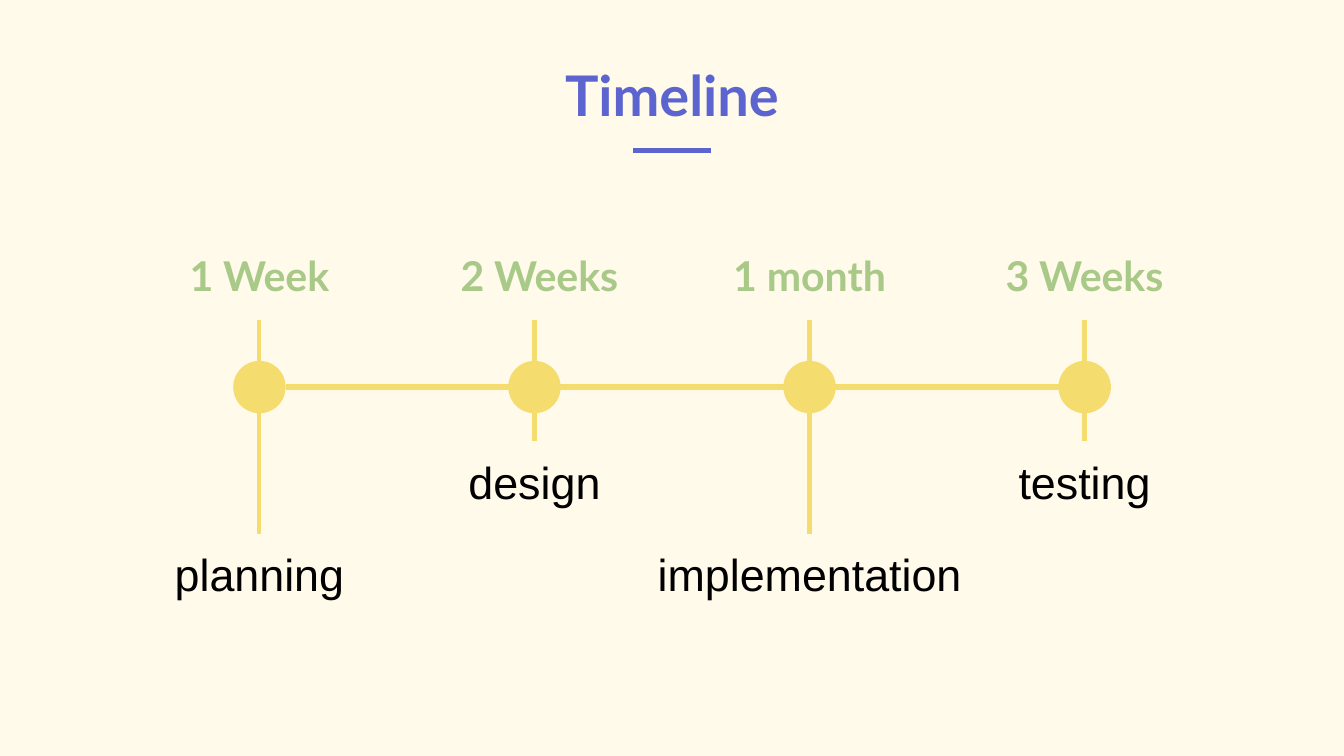
from dataclasses import dataclass

from lxml import etree
from pptx import Presentation, util as u
from pptx.dml.color import RGBColor
from pptx.enum import shapes, text
from pptx.oxml.ns import qn

TITLE = "Timeline"
# duration, stage, row of the stage name (0 = near the axis, 1 = further down)
STAGES = [
    ("1 Week", "planning", 1),
    (" 2 Weeks", "design", 0),
    ("1 month", "implementation", 1),
    ("3 Weeks", "testing", 0),
]


@dataclass(frozen=True)
class Theme:
    paper: str = "FFFAEA"
    accent: str = "5C65CF"
    axis: str = "F5DC6E"
    duration: str = "A8C987"
    ink: str = "000000"
    heading_font: str = "Lato"
    stage_font: str = "Arial"
    title_size: float = 30
    duration_size: float = 22
    stage_size: float = 24
    thick: float = 3
    thin: float = 2.25


THEME = Theme()
WIDTH = 10
HEIGHT = WIDTH * 9 / 16
FIRST_X = 1.93
COLUMN = (WIDTH - 2 * FIRST_X) / (len(STAGES) - 1)
AXIS_Y = 2.88
DOT = 0.39
DURATION_TOP, DURATION_HEIGHT = 1.76, 0.62
STAGE_ROWS, STAGE_HEIGHT = (3.28, 3.97), 1.01
LABEL_WIDTH, WIDE_LABEL = 1.75, 2.73
RULE_Y, RULE_WIDTH = 1.12, 0.58
TITLE_LEFT, TITLE_TOP, TITLE_HEIGHT = 0.78, 0.22, 0.83


def color(code):
    return RGBColor.from_string(code)


def write(box, words, font, size, ink, bold=False, anchor=text.MSO_ANCHOR.TOP):
    frame = box.text_frame
    frame.word_wrap = True
    frame.auto_size = text.MSO_AUTO_SIZE.NONE
    frame.vertical_anchor = anchor
    frame.margin_left = frame.margin_right = u.Inches(0.1)
    frame.margin_top = frame.margin_bottom = u.Inches(0.1)
    paragraph = frame.paragraphs[0]
    paragraph.alignment = text.PP_ALIGN.CENTER
    paragraph.space_before = u.Pt(0)
    run = paragraph.add_run()
    run.text = words
    run.font.name, run.font.size, run.font.bold = font, u.Pt(size), bold
    run.font.color.rgb = color(ink)


def add_label(slide, center, top, width, height):
    return slide.shapes.add_textbox(
        *map(u.Inches, (center - width / 2, top, width, height)))


def add_line(slide, start, end, ink, weight):
    line = slide.shapes.add_connector(
        shapes.MSO_CONNECTOR.STRAIGHT, *map(u.Inches, (*start, *end)))
    line.line.color.rgb = color(ink)
    line.line.width = u.Pt(weight)
    etree.SubElement(line._element.spPr, qn("a:effectLst"))
    return line


def add_heading(slide):
    add_line(slide, ((WIDTH - RULE_WIDTH) / 2, RULE_Y),
             ((WIDTH + RULE_WIDTH) / 2, RULE_Y), THEME.accent, THEME.thick)
    title = slide.shapes.title
    title.left, title.top = u.Inches(TITLE_LEFT), u.Inches(TITLE_TOP)
    title.width = u.Inches(WIDTH - 2 * TITLE_LEFT)
    title.height = u.Inches(TITLE_HEIGHT)
    write(title, TITLE, THEME.heading_font, THEME.title_size, THEME.accent,
          bold=True, anchor=text.MSO_ANCHOR.BOTTOM)


def add_stage(slide, center, duration, stage, row):
    dot = slide.shapes.add_shape(
        shapes.MSO_SHAPE.OVAL,
        *map(u.Inches, (center - DOT / 2, AXIS_Y - DOT / 2, DOT, DOT)))
    dot.shadow.inherit = False
    dot.fill.solid()
    dot.fill.fore_color.rgb = color(THEME.axis)
    dot.line.fill.background()

    above = add_label(slide, center, DURATION_TOP, LABEL_WIDTH, DURATION_HEIGHT)
    write(above, duration, THEME.heading_font, THEME.duration_size,
          THEME.duration, bold=True)

    stage_width = WIDE_LABEL if len(stage) > 10 else LABEL_WIDTH
    below = add_label(slide, center, STAGE_ROWS[row], stage_width, STAGE_HEIGHT)
    write(below, stage, THEME.stage_font, THEME.stage_size, THEME.ink)

    stem = add_line(slide, (center, DURATION_TOP + DURATION_HEIGHT),
                    (center, STAGE_ROWS[row]), THEME.axis, THEME.thin)
    stem.begin_connect(above, 2)
    stem.end_connect(below, 0)


def main():
    deck = Presentation()
    deck.slide_width, deck.slide_height = u.Inches(WIDTH), u.Inches(HEIGHT)
    slide = deck.slides.add_slide(deck.slide_layouts.get_by_name("Title Only"))
    slide.background.fill.solid()
    slide.background.fill.fore_color.rgb = color(THEME.paper)

    add_heading(slide)
    last_x = WIDTH - FIRST_X
    add_line(slide, (FIRST_X + DOT / 2, AXIS_Y), (last_x + DOT / 2, AXIS_Y),
             THEME.axis, THEME.thick)
    for column, stage in enumerate(STAGES):
        add_stage(slide, FIRST_X + column * COLUMN, *stage)
    deck.save("out.pptx")


if __name__ == "__main__":
    main()
